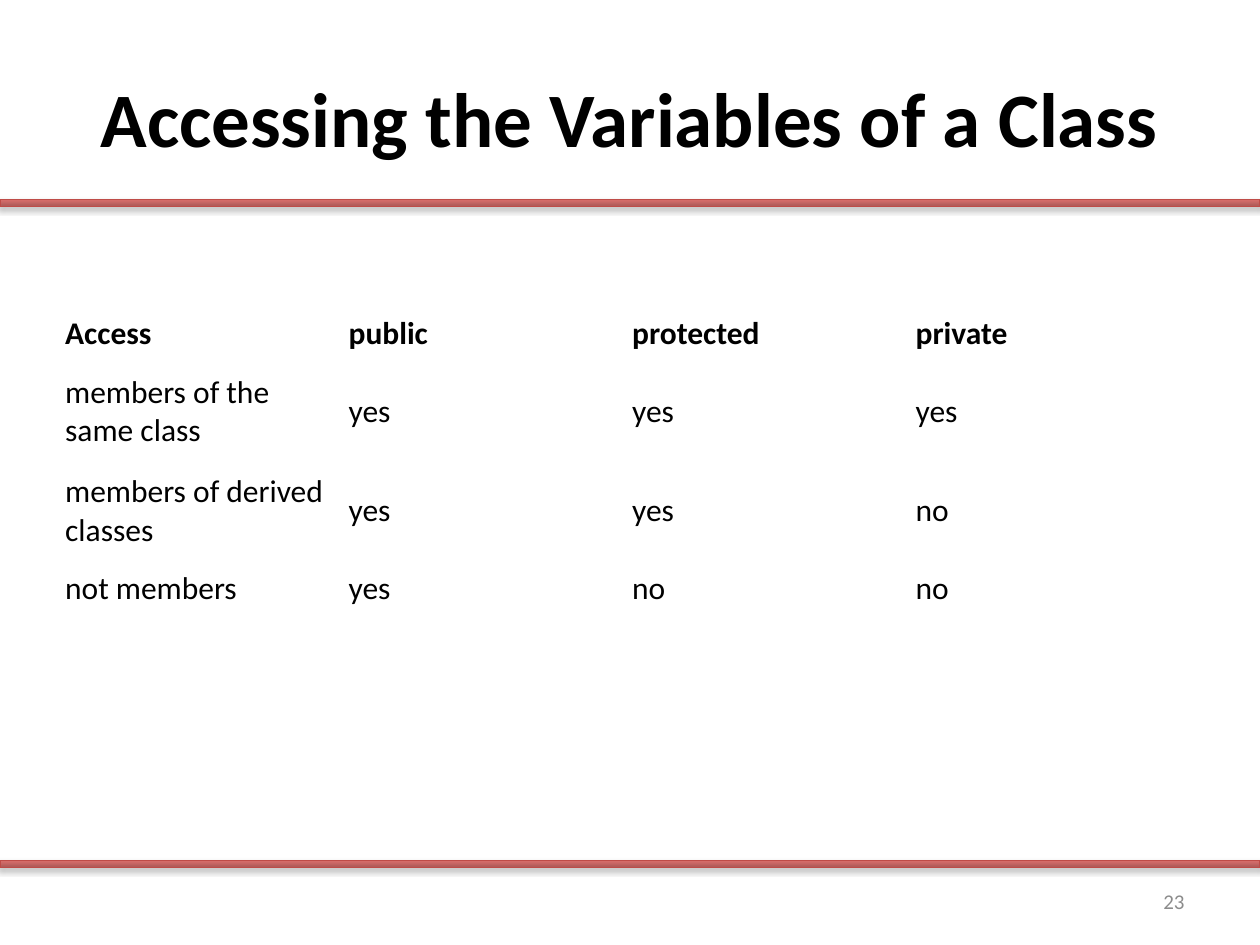
from lxml import etree
from pptx import Presentation
from pptx.dml.color import RGBColor
from pptx.enum.shapes import MSO_SHAPE
from pptx.enum.text import MSO_ANCHOR, PP_ALIGN
from pptx.oxml.ns import qn
from pptx.util import Cm, Pt

RECTANGLE = MSO_SHAPE.RECTANGLE
MIDDLE = MSO_ANCHOR.MIDDLE
LEFT, CENTER, RIGHT = PP_ALIGN.LEFT, PP_ALIGN.CENTER, PP_ALIGN.RIGHT

PAGE_WIDTH, PAGE_HEIGHT = 25.4, 19.05
FONT = "Calibri"
BLACK, GREY, BAR_LINE = "000000", "8C8C8C", "BF4C48"
BAR_STOPS = [(0, "9C2F2D"), (80, "CB3E3A"), (100, "CE3B37")]
BAR_OPACITY, SHADOW_OPACITY = 73, 35
ROW_HEIGHTS = [1.14, 2.01, 2.01, 1.14]
ACCESS_ROWS = [
    ["Access", "public", "protected", "private"],
    ["members of the same class", "yes", "yes", "yes"],
    ["members of derived classes", "yes", "yes", "no"],
    ["not members", "yes", "no", "no"],
]


def color(value):
    """Turn a hex string into a colour."""
    return RGBColor.from_string(value)


def write(frame, text, size, hex_color=BLACK, bold=False, align=LEFT):
    """Put one formatted paragraph into a text frame."""
    frame.text = text
    para = frame.paragraphs[0]
    para.alignment = align
    for span in para.runs:
        span.font.name = FONT
        span.font.size = Pt(size)
        span.font.bold = bold
        span.font.color.rgb = color(hex_color)


def add_translucent_color(parent, hex_color, opacity):
    """Append a partly transparent colour to an XML element."""
    tone = etree.SubElement(parent, qn("a:srgbClr"), val=hex_color)
    etree.SubElement(tone, qn("a:alpha"), val=str(opacity * 1000))


def add_bar(page, left, top, width, height):
    """Draw a red gradient rule with a soft shadow below it."""
    bar = page.shapes.add_shape(RECTANGLE, Cm(left), Cm(top), Cm(width), Cm(height))
    bar.line.color.rgb = color(BAR_LINE)
    bar.line.width = Pt(0.75)
    bar.fill.gradient()
    bar.fill.gradient_angle = 90
    properties = bar.element.spPr
    stops = properties.find(".//" + qn("a:gsLst"))
    for stop in list(stops):
        stops.remove(stop)
    for position, hex_color in BAR_STOPS:
        stop = etree.SubElement(stops, qn("a:gs"), pos=str(position * 1000))
        add_translucent_color(stop, hex_color, BAR_OPACITY)
    bar.shadow.inherit = False
    shadow = etree.SubElement(
        properties.find(qn("a:effectLst")), qn("a:outerShdw"),
        blurRad=str(Pt(3.1)), dist=str(Pt(1.8)), dir="5400000", rotWithShape="0")
    add_translucent_color(shadow, BLACK, SHADOW_OPACITY)


def add_title(page, left, top, width, height):
    """Place and format the title placeholder."""
    title = page.shapes.title
    title.left, title.top = Cm(left), Cm(top)
    title.width, title.height = Cm(width), Cm(height)
    title.text_frame.vertical_anchor = MIDDLE
    write(title.text_frame, "Accessing the Variables of a Class", 44, bold=True, align=CENTER)


def add_access_table(page, left, top, width):
    """Add the table of access rights with equal columns."""
    table = page.shapes.add_table(
        len(ACCESS_ROWS), len(ACCESS_ROWS[0]),
        Cm(left), Cm(top), Cm(width), Cm(sum(ROW_HEIGHTS))).table
    table.first_row = False
    table.horz_banding = False
    for row_index, (height, texts) in enumerate(zip(ROW_HEIGHTS, ACCESS_ROWS)):
        table.rows[row_index].height = Cm(height)
        for column_index, text in enumerate(texts):
            cell = table.cell(row_index, column_index)
            cell.fill.background()
            cell.vertical_anchor = MIDDLE
            write(cell.text_frame, text, 18, bold=row_index == 0)


def add_page_number(page, left, top, width, height):
    """Add the page number at the lower right."""
    box = page.shapes.add_textbox(Cm(left), Cm(top), Cm(width), Cm(height))
    box.text_frame.word_wrap = True
    box.text_frame.vertical_anchor = MIDDLE
    write(box.text_frame, "23", 12, GREY, align=RIGHT)


def main():
    """Build the deck and save it."""
    deck = Presentation()
    deck.slide_width, deck.slide_height = Cm(PAGE_WIDTH), Cm(PAGE_HEIGHT)
    page = deck.slides.add_slide(deck.slide_layouts[5])
    for top in (17.35, 4.02):
        add_bar(page, 0, top, PAGE_WIDTH, 0.14)
    add_title(page, 1.27, 0.76, 22.86, 3.18)
    add_access_table(page, 1.06, 6.15, 22.86)
    add_page_number(page, 18.2, 17.66, 5.93, 1.01)
    deck.save("out.pptx")


if __name__ == "__main__":
    main()
